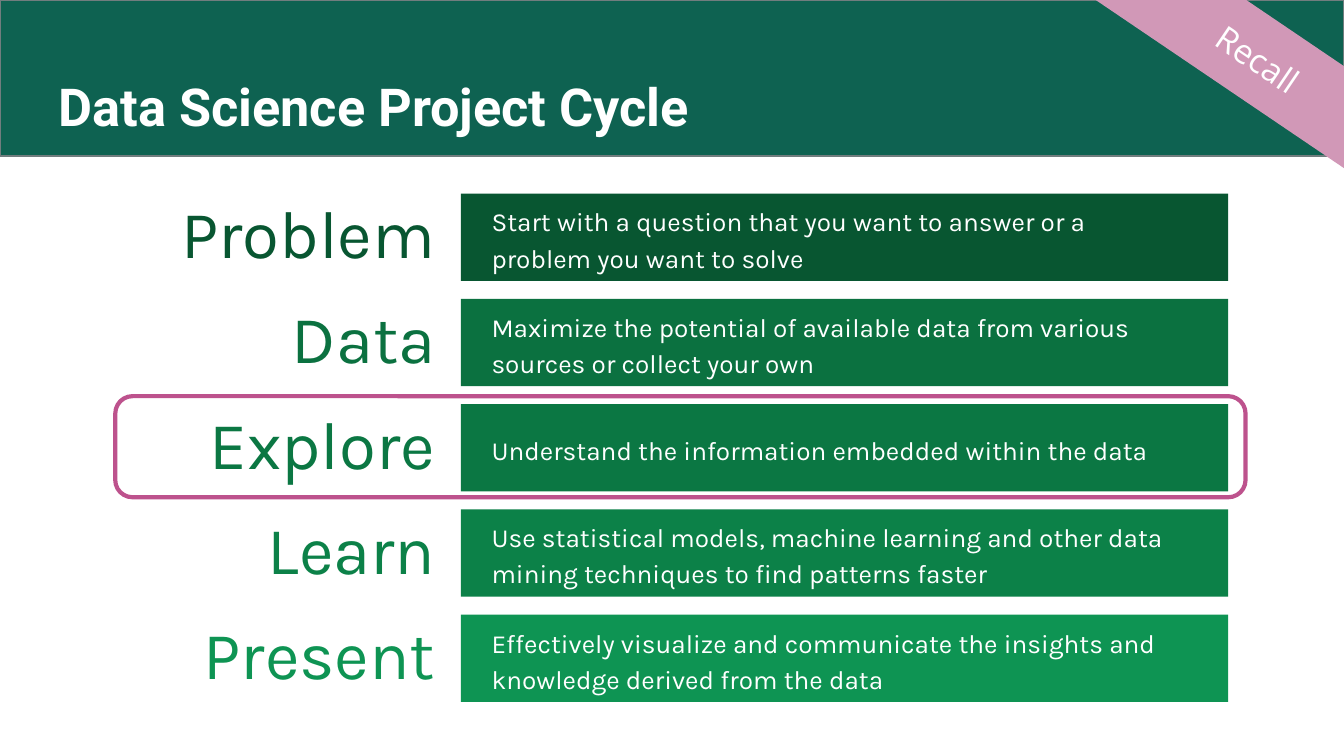
from pptx import Presentation
from pptx.dml.color import RGBColor
from pptx.enum.shapes import MSO_SHAPE as Shape
from pptx.enum.text import MSO_ANCHOR as Anchor, PP_ALIGN as Align
from pptx.util import Cm, Pt

COLORS = {
    "header": "0E6251",
    "header_line": "717D7E",
    "white": "FFFFFF",
    "ribbon": "D198B7",
    "highlight": "BD528D",
    "problem": "085631",
    "data": "0B7140",
    "explore": "0B7743",
    "learn": "0C8148",
    "present": "0E9453",
}

STAGES = [
    ("Problem", "Start with a question that you want to answer or a problem you want to solve"),
    ("Data", "Maximize the potential of available data from various sources or collect your own"),
    ("Explore", "Understand the information embedded within the data"),
    ("Learn", "Use statistical models, machine learning and other data mining techniques "
              "to find patterns faster"),
    ("Present", "Effectively visualize and communicate the insights and knowledge "
                "derived from the data"),
]

FIRST_TOP, ROW_PITCH, BAR_HEIGHT = 3.66, 1.99, 1.65


def color(name):
    return RGBColor.from_string(COLORS[name])


def add_block(shapes, kind, box, fill=None, line=None, line_width=0.75):
    """Add a preset shape; box is left, top, width, height in cm."""
    shape = shapes.add_shape(kind, *map(Cm, box))
    shape.shadow.inherit = False
    if fill:
        shape.fill.solid()
        shape.fill.fore_color.rgb = color(fill)
    else:
        shape.fill.background()
    if line:
        shape.line.color.rgb = color(line)
        shape.line.width = Pt(line_width)
    else:
        shape.line.fill.background()
    return shape


def write(shape, text, font, size, text_color, align=Align.LEFT,
          anchor=Anchor.MIDDLE, spacing=1.0, bold=False):
    frame = shape.text_frame
    frame.word_wrap = True
    frame.vertical_anchor = anchor
    paragraph = frame.paragraphs[0]
    paragraph.text = text
    paragraph.alignment = align
    paragraph.line_spacing = spacing
    paragraph.font.name = font
    paragraph.font.size = Pt(size)
    paragraph.font.bold = bold
    paragraph.font.color.rgb = color(text_color)


def add_text(shapes, box, text, *style, **options):
    text_box = shapes.add_textbox(*map(Cm, box))
    write(text_box, text, *style, **options)
    return text_box


def set_vertical_margins(shape, margin):
    shape.text_frame.margin_top = shape.text_frame.margin_bottom = Cm(margin)


def add_header(slide):
    add_block(slide.shapes, Shape.RECTANGLE, (0, 0, 25.4, 2.95), "header", "header_line")
    title = add_text(slide.shapes, (0.86, 1.24, 23.67, 1.6), "Data Science Project Cycle",
                     "Roboto", 28, "white", anchor=Anchor.BOTTOM, bold=True)
    set_vertical_margins(title, 0.25)


def add_stage(slide, index, name, description):
    """Group one stage: its name, its bar and the description on the bar."""
    top = FIRST_TOP + index * ROW_PITCH
    shade = name.lower()
    shapes = slide.shapes.add_group_shape().shapes
    add_text(shapes, (2.18, top + 0.11, 6.3, 1.42), name, "Karla", 36, shade,
             align=Align.RIGHT, spacing=0.9)
    add_block(shapes, Shape.RECTANGLE, (8.71, top, 14.5, BAR_HEIGHT), shade)
    add_text(shapes, (9.04, top, 13.3, BAR_HEIGHT), description, "Karla", 14, "white",
             spacing=1.15)


def add_ribbon(slide):
    ribbon = add_block(slide.shapes, Shape.RECTANGLE, (18.11, 0.33, 11.33, 1.57),
                       "ribbon", "ribbon")
    ribbon.rotation = 34.1
    write(ribbon, "Recall", "Open Sans", 18, "white", align=Align.CENTER)
    set_vertical_margins(ribbon, 0.25)


def add_highlight(slide):
    frame = add_block(slide.shapes, Shape.ROUNDED_RECTANGLE, (2.18, 7.49, 21.36, 1.91),
                      line="highlight", line_width=2.25)
    frame.adjustments[0] = 0.17


def main():
    presentation = Presentation()
    presentation.slide_width = Cm(25.4)
    presentation.slide_height = Cm(14.29)
    slide = presentation.slides.add_slide(presentation.slide_layouts[6])

    # Header band and title
    add_header(slide)

    # Stages of the cycle
    for index, (name, description) in enumerate(STAGES):
        add_stage(slide, index, name, description)

    # Corner ribbon and frame around the current stage
    add_ribbon(slide)
    add_highlight(slide)

    presentation.save("out.pptx")


if __name__ == "__main__":
    main()
